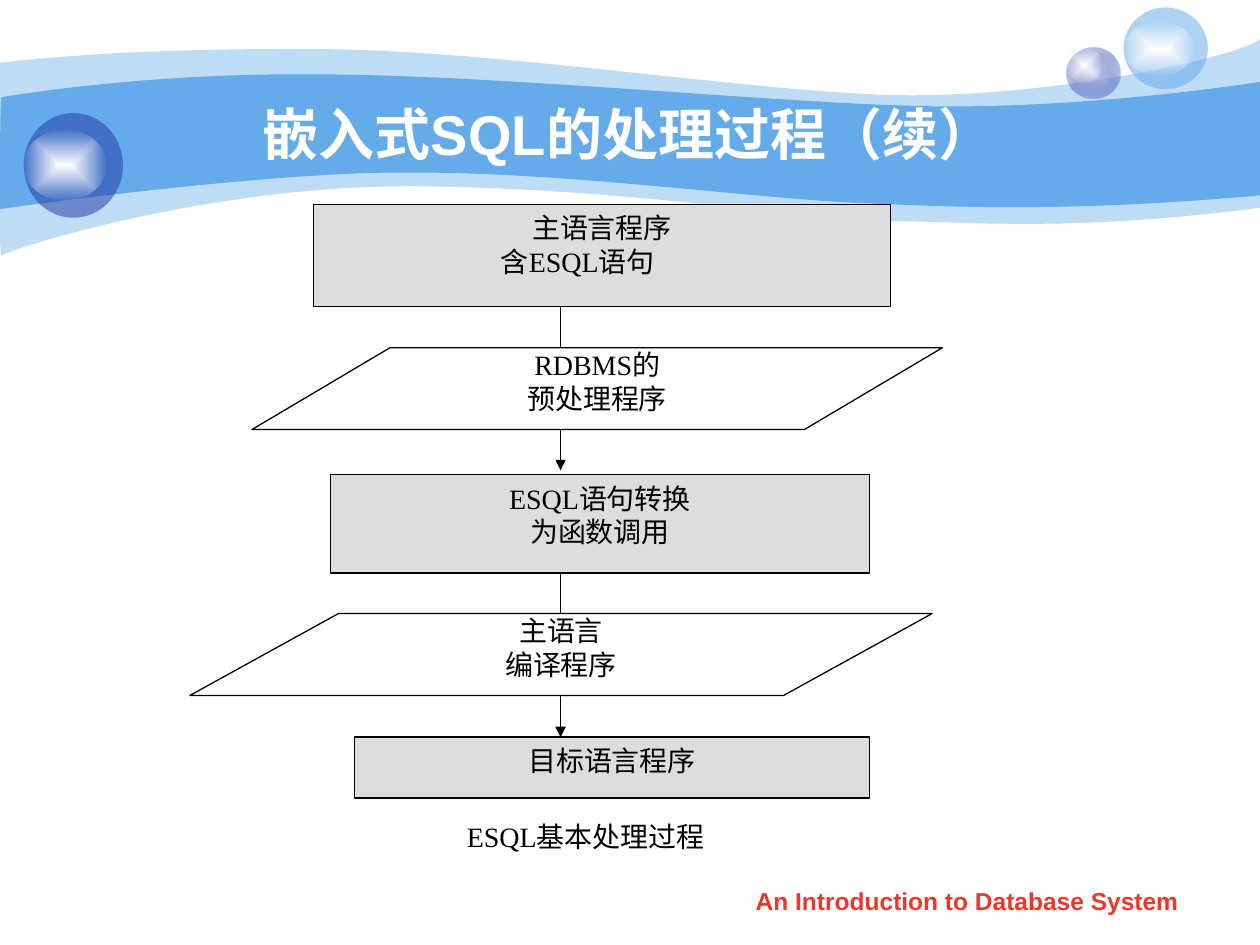
from lxml import etree
from pptx import Presentation
from pptx.dml.color import RGBColor
from pptx.enum.shapes import MSO_CONNECTOR, MSO_SHAPE
from pptx.enum.text import MSO_ANCHOR, MSO_AUTO_SIZE, PP_ALIGN
from pptx.oxml import parse_xml
from pptx.oxml.ns import nsdecls, qn
from pptx.util import Cm, Pt

PROCESS = MSO_SHAPE.FLOWCHART_PROCESS
DATA = MSO_SHAPE.FLOWCHART_DATA
OVAL = MSO_SHAPE.OVAL
RECT = MSO_SHAPE.RECTANGLE
STRAIGHT = MSO_CONNECTOR.STRAIGHT
CENTER, LEFT = PP_ALIGN.CENTER, PP_ALIGN.LEFT
TOP, MIDDLE = MSO_ANCHOR.TOP, MSO_ANCHOR.MIDDLE
NO_FIT = MSO_AUTO_SIZE.NONE

WHITE = RGBColor(0xFF, 0xFF, 0xFF)
NEAR_WHITE = RGBColor(0xFE, 0xFE, 0xFE)
BLACK = RGBColor(0, 0, 0)
GREY = RGBColor(0xDD, 0xDD, 0xDD)
SKY = RGBColor(0x65, 0xAA, 0xE9)
NAVY = RGBColor(0x23, 0x3D, 0xA9)
LILAC = RGBColor(0xC6, 0xCC, 0xE8)
RED = RGBColor(0xF0, 0x36, 0x28)

SERIF, SANS = "Times New Roman", "Arial"
LINE_WIDTH = Pt(0.74)
WIDE_INSETS = (0.25, 0.13)
NARROW_INSETS = (0.1, 0)

# Wave outlines in cm: a start point, then curves (three points) or lines (one)
LIGHT_WAVE = [
    [(0, 1.27)],
    [(0.61, 1.19), (2.72, 0.97), (6.27, 0.99)],
    [(9.8, 0.99), (14.61, 1.78), (17.75, 1.91)],
    [(20.88, 2.03), (24.89, 1.19), (25.4, 0.79)],
    [(25.4, 4.19)],
    [(21.79, 4.65), (19.99, 4.5), (17.91, 4.45)],
    [(15.8, 4.39), (13.08, 3.84), (8.71, 3.76)],
    [(4.37, 3.66), (0.1, 5.05), (0.03, 5.16)],
    [(-0.03, 5.28), (0, 1.91), (0, 1.27)],
]
MAIN_WAVE = [
    [(0.03, 1.96)],
    [(0.05, 1.96), (2.79, 1.47), (6.3, 1.5)],
    [(9.8, 1.5), (15.11, 2.03), (18.24, 2.13)],
    [(21.36, 2.24), (24.79, 1.75), (25.4, 1.65)],
    [(25.4, 3.94)],
    [(21.67, 4.27), (19.43, 4.19), (17.32, 4.09)],
    [(15.21, 4.01), (11.35, 3.45), (8.05, 3.48)],
    [(5.16, 3.48), (-0.05, 4.22), (-0.03, 4.22)],
    [(0, 4.22), (0, 1.96), (0.03, 1.96)],
]

# Flow steps: preset, box in cm, fill, insets, text
STEPS = [
    (PROCESS, (6.32, 4.12, 11.63, 2.06), GREY, WIDE_INSETS, "主语言程序\n含ESQL语句"),
    (DATA, (5.08, 7.01, 13.92, 1.65), WHITE, NARROW_INSETS, "RDBMS的\n预处理程序"),
    (PROCESS, (6.66, 9.57, 10.87, 1.98), GREY, WIDE_INSETS, "ESQL语句转换\n为函数调用"),
    (DATA, (3.83, 12.37, 14.96, 1.65), WHITE, NARROW_INSETS, "主语言\n编译程序"),
    (PROCESS, (7.15, 14.86, 10.38, 1.23), GREY, WIDE_INSETS, "目标语言程序"),
]
ARROW_X = 11.3
ARROW_SPANS = [(11.13, 14.86), (5.77, 9.48)]


def set_fill(sp, color, opacity=100):
    sp.fill.solid()
    sp.fill.fore_color.rgb = color
    if opacity < 100:
        clr = sp.element.spPr.find(".//" + qn("a:srgbClr"))
        etree.SubElement(clr, qn("a:alpha"), val=str(opacity * 1000))


def set_glow(sp, inner, outer, opacity):
    """Gradient from the centre to the edges."""
    grad = parse_xml(
        f'<a:gradFill {nsdecls("a")} rotWithShape="1"><a:gsLst>'
        f'<a:gs pos="0"><a:srgbClr val="{inner}"/></a:gs>'
        f'<a:gs pos="100000"><a:srgbClr val="{outer}">'
        f'<a:alpha val="{opacity * 1000}"/></a:srgbClr></a:gs></a:gsLst>'
        '<a:path path="rect"><a:fillToRect l="50000" t="50000" r="50000" b="50000"/>'
        '</a:path></a:gradFill>')
    sp.element.spPr.find(qn("a:prstGeom")).addnext(grad)


def set_text(sp, text, size, font, color, bold=False, insets=WIDE_INSETS, anchor=TOP):
    tf = sp.text_frame
    tf.text = text
    tf.word_wrap = True
    tf.auto_size = NO_FIT
    tf.vertical_anchor = anchor
    tf.margin_left = tf.margin_right = Cm(insets[0])
    tf.margin_top = tf.margin_bottom = Cm(insets[1])
    for p in tf.paragraphs:
        p.alignment = CENTER
        for r in p.runs:
            r.font.size, r.font.name, r.font.bold = Pt(size), font, bold
            r.font.color.rgb = color


def add_shape(slide, preset, box):
    sp = slide.shapes.add_shape(preset, *map(Cm, box))
    sp.shadow.inherit = False
    sp.line.fill.background()
    return sp


def add_wave(slide, outline, opacity):
    points = [(Cm(x), Cm(y)) for segment in outline for x, y in segment]
    builder = slide.shapes.build_freeform(*points[0])
    builder.add_line_segments(points[1:], close=True)
    sp = builder.convert_to_shape()
    # Join each three line points into one Bezier curve
    lines = iter(sp.element.findall(".//" + qn("a:lnTo")))
    for segment in outline[1:]:
        parts = [next(lines) for _ in segment]
        if len(parts) == 3:
            curve = etree.Element(qn("a:cubicBezTo"))
            parts[0].addprevious(curve)
            for part in parts:
                curve.append(part[0])
                part.getparent().remove(part)
    sp.shadow.inherit = False
    sp.line.fill.background()
    set_fill(sp, SKY, opacity)


def add_highlight(slide, box):
    set_glow(add_shape(slide, OVAL, box), WHITE, NEAR_WHITE, 0)


def add_arrow(slide, top, bottom):
    line = slide.shapes.add_connector(STRAIGHT, Cm(ARROW_X), Cm(top), Cm(ARROW_X), Cm(bottom))
    line.line.color.rgb = BLACK
    line.line.width = LINE_WIDTH
    ln = line.element.spPr.find(qn("a:ln"))
    etree.SubElement(ln, qn("a:tailEnd"), type="triangle")
    etree.SubElement(line.element.spPr, qn("a:effectLst"))


def add_step(slide, preset, box, color, insets, text):
    sp = add_shape(slide, preset, box)
    set_fill(sp, color)
    sp.line.color.rgb = BLACK
    sp.line.width = LINE_WIDTH
    set_text(sp, text, 16, SERIF, BLACK, insets=insets)
    return sp


def main():
    prs = Presentation()
    prs.slide_width, prs.slide_height = Cm(25.4), Cm(19.05)
    slide = prs.slides.add_slide(prs.slide_layouts[5])

    # Waves and bubbles
    add_wave(slide, LIGHT_WAVE, 41)
    add_wave(slide, MAIN_WAVE, 100)
    set_glow(add_shape(slide, OVAL, (21.51, 0.97, 1.07, 1.02)), LILAC, NAVY, 31)
    add_highlight(slide, (21.51, 0.97, 0.71, 0.69))
    set_fill(add_shape(slide, OVAL, (22.65, 0.15, 1.7, 1.65)), SKY, 53)
    add_highlight(slide, (22.65, 0.43, 1.42, 1.09))
    set_fill(add_shape(slide, OVAL, (0.48, 2.28, 2, 2.11)), NAVY, 53)
    add_highlight(slide, (0.48, 2.62, 1.67, 1.42))

    # Title, brought in front of the waves
    title = slide.shapes.title
    title.left, title.top, title.width, title.height = map(Cm, (2.54, 1.9, 20.52, 1.57))
    set_text(title, "嵌入式SQL的处理过程（续） ", 32, SANS, WHITE, True, anchor=MIDDLE)
    title.element.getparent().append(title.element)

    # Flow chart: arrows lie behind the steps
    for span in ARROW_SPANS:
        add_arrow(slide, *span)
    steps = [add_step(slide, *step) for step in STEPS]
    p = steps[0].text_frame.paragraphs[1]
    p.alignment = LEFT
    p._p.get_or_add_pPr().set("marL", str(Cm(3.53)))

    # Caption and footer
    caption = add_shape(slide, RECT, (3.7, 16.52, 16.21, 0.81))
    set_fill(caption, WHITE)
    set_text(caption, "ESQL基本处理过程", 16, SERIF, BLACK, insets=NARROW_INSETS)
    footer = slide.shapes.add_textbox(*map(Cm, (14.5, 17.73, 10, 0.89)))
    set_text(footer, "An Introduction to Database System", 14, SANS, RED, True)

    prs.save("out.pptx")


main()
